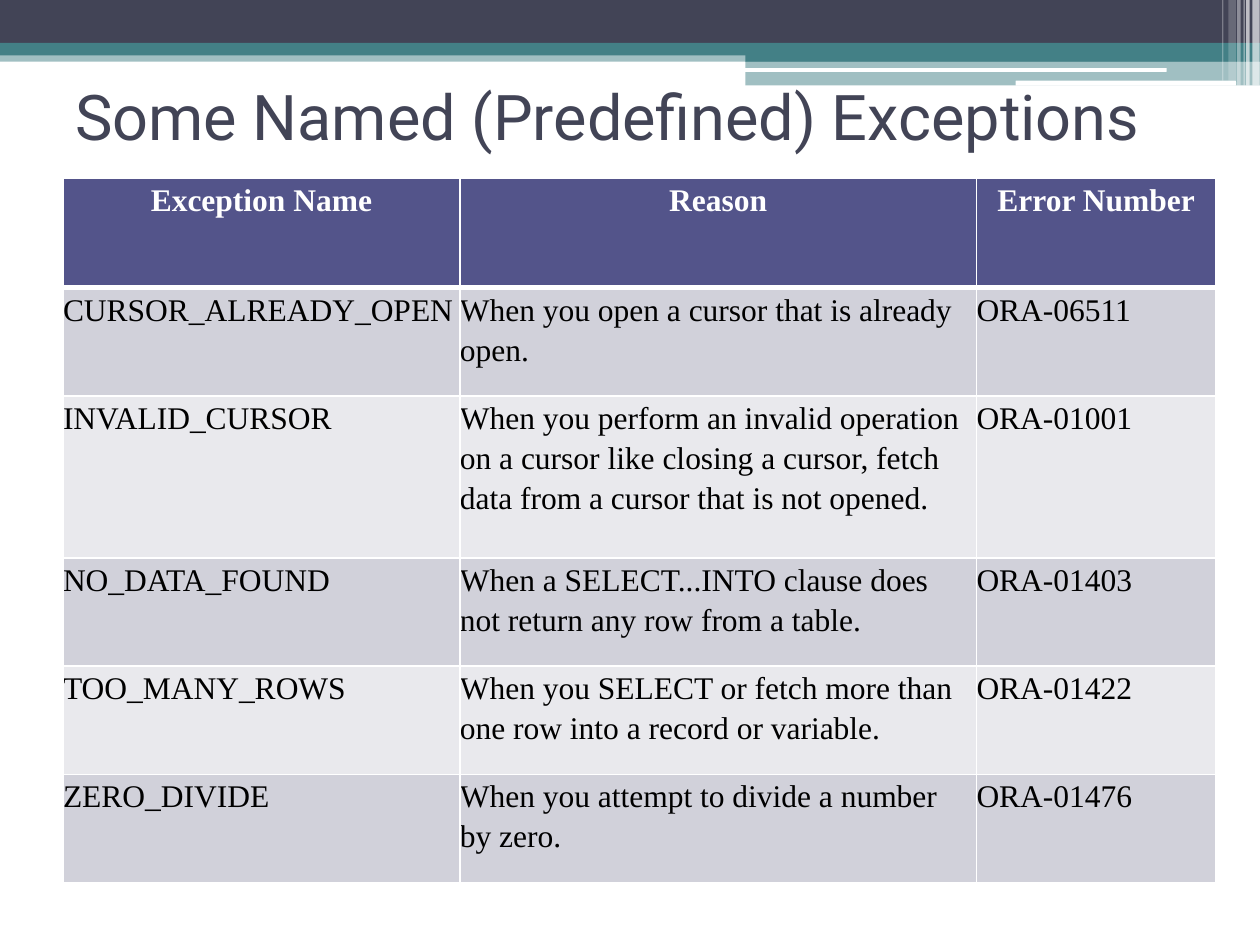
"""Build a slide that lists named exceptions in a table."""
from lxml import etree
from pptx import Presentation
from pptx.dml.color import RGBColor
from pptx.enum import shapes, text
from pptx.oxml import ns
from pptx.util import Pt

THEME = {
    "ink": "424456", "teal": "438086", "white": "FFFFFF", "black": "000000",
    "head": "53548A", "odd": "D1D1DA", "even": "E9E9ED",
    "title": {"name": "Roboto", "size": Pt(36)},
    "body": {"name": "Times New Roman", "size": Pt(18)},
}
BANDS = [
    (0, 28.8, 720, 6.5, "teal", 50),
    (0, 0, 720, 24.5, "ink", 100),
    (0, 24.5, 720, 7.2, "teal", 100),
    (426, 28.1, 294, 7.2, "teal", 100),
    (426, 34.9, 294, 13.9, "teal", 50),
]
PILLS = [(425.5, 38.9, 241.2, 2.2), (580.3, 46.1, 126, 2.9)]
BARS = [
    (715.7, 4.2, 49, 65), (712.1, 2, 49, 65), (710.6, 0.7, 49, 60),
    (707, 2, 49, 40), (702, 4.3, 46.1, 20), (698.4, 0.7, 46.1, 30),
]
ROWS = [
    ("Exception Name", "Reason", "Error Number"),
    ("CURSOR_ALREADY_OPEN", "When you open a cursor that is already open.", "ORA-06511"),
    ("INVALID_CURSOR", "When you perform an invalid operation on a cursor like "
     "closing a cursor, fetch data from a cursor that is not opened.", "ORA-01001"),
    ("NO_DATA_FOUND", "When a SELECT...INTO clause does not return any row "
     "from a table.", "ORA-01403"),
    ("TOO_MANY_ROWS", "When you SELECT or fetch more than one row into a record "
     "or variable.", "ORA-01422"),
    ("ZERO_DIVIDE", "When you attempt to divide a number by zero.", "ORA-01476"),
]
WIDTHS = [226.8, 295.2, 136.8]
HEIGHTS = [62.5, 61.8, 92.6, 61.8, 61.8, 61.8]


def style(item, values):
    """Set each attribute in a dict of format values."""
    for key, value in values.items():
        setattr(item, key, value)


def tint(name):
    """Return a theme colour."""
    return RGBColor.from_string(THEME[name])


def block(slide, box, color, alpha=100, kind="RECTANGLE"):
    """Draw a plain filled shape with an opacity in percent."""
    shape = slide.shapes.add_shape(
        getattr(shapes.MSO_SHAPE, kind), *map(Pt, box))
    shape.shadow.inherit = False
    shape.fill.solid()
    shape.fill.fore_color.rgb = tint(color)
    shape.line.fill.background()
    if alpha < 100:
        clr = shape.fill._xPr.find(".//" + ns.qn("a:srgbClr"))
        etree.SubElement(clr, ns.qn("a:alpha"), val=str(alpha * 1000))


def banner(slide, left, top):
    """Draw the bands, pills and bars along the top edge."""
    for x, y, w, h, color, alpha in BANDS:
        block(slide, (left + x, top + y, w, h), color, alpha)
    for x, y, w, h in PILLS:
        block(slide, (left + x, top + y, w, h), "white", kind="ROUNDED_RECTANGLE")
    for x, w, h, alpha in BARS:
        block(slide, (left + x, top, w, h), "white", alpha)


def title(slide, box, words):
    """Place the slide title."""
    frame = slide.shapes.add_textbox(*map(Pt, box)).text_frame
    style(frame, {"word_wrap": True, "vertical_anchor": text.MSO_ANCHOR.MIDDLE})
    run = frame.paragraphs[0].add_run()
    run.text = words
    style(run.font, THEME["title"])
    run.font.color.rgb = tint("ink")


def border(cell, sides):
    """Give a cell white borders with a width in points per side."""
    props = cell._tc.get_or_add_tcPr()
    for spot, (side, width) in enumerate(sides.items()):
        line = etree.Element(ns.qn("a:ln" + side), w=str(Pt(width)))
        fill = etree.SubElement(line, ns.qn("a:solidFill"))
        etree.SubElement(fill, ns.qn("a:srgbClr"), val=THEME["white"])
        props.insert(spot, line)


def entry(cell, words, row):
    """Fill and format one table cell."""
    head = row == 0
    style(cell, {"margin_" + side: 0 for side in ("left", "right", "top", "bottom")})
    cell.fill.solid()
    cell.fill.fore_color.rgb = tint("head" if head else "odd" if row % 2 else "even")
    border(cell, {"L": 1, "R": 1, "T": 3 if row == 1 else 1, "B": 3 if head else 1})
    para = cell.text_frame.paragraphs[0]
    style(para, {
        "line_spacing": 1.15,
        "space_after": Pt(0 if head else 10),
        "alignment": text.PP_ALIGN.CENTER if head else text.PP_ALIGN.LEFT,
    })
    run = para.add_run()
    run.text = words
    style(run.font, {**THEME["body"], "bold": head})
    run.font.color.rgb = tint("white" if head else "black")


def grid(slide, left, top):
    """Place the table of exceptions."""
    size = (left, top, sum(WIDTHS), sum(HEIGHTS))
    table = slide.shapes.add_table(len(ROWS), len(WIDTHS), *map(Pt, size)).table
    for col, width in zip(table.columns, WIDTHS):
        col.width = Pt(width)
    for row, height in zip(table.rows, HEIGHTS):
        row.height = Pt(height)
    for r, words in enumerate(ROWS):
        for c, word in enumerate(words):
            entry(table.cell(r, c), word, r)


def main():
    """Build and save the slide."""
    deck = Presentation()
    style(deck, {"slide_width": Pt(720), "slide_height": Pt(540)})
    slide = deck.slides.add_slide(deck.slide_layouts[6])
    banner(slide, 0, 0)
    title(slide, (36, 24, 648, 84), "Some Named (Predefined) Exceptions")
    grid(slide, 36, 102)
    deck.save("out.pptx")


main()
